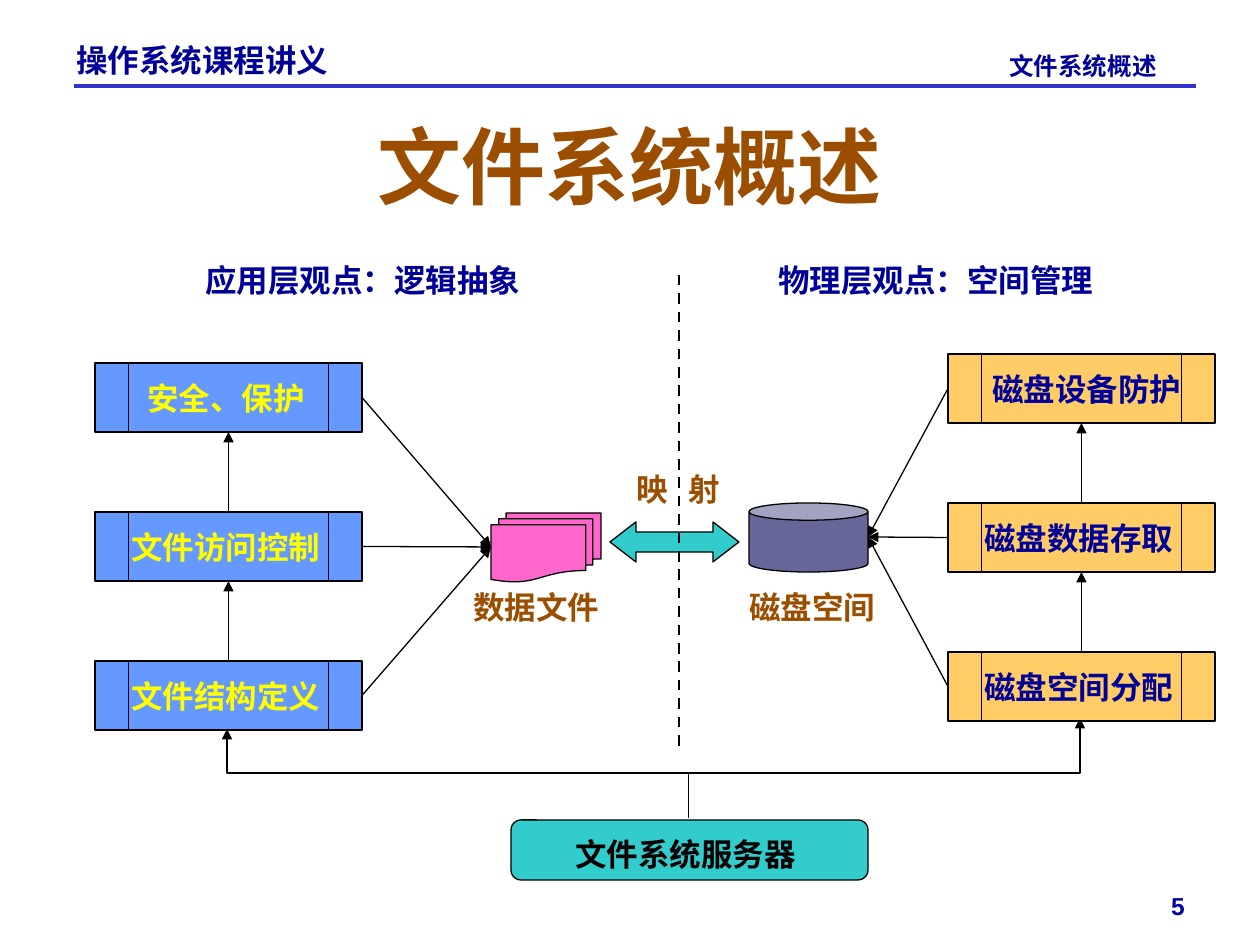
import lxml.etree
import pptx
import pptx.dml.color
import pptx.enum.dml
import pptx.enum.shapes
import pptx.enum.text
import pptx.oxml.ns
import pptx.util

RGBColor = pptx.dml.color.RGBColor
SHAPE = pptx.enum.shapes.MSO_SHAPE
CONNECTOR = pptx.enum.shapes.MSO_CONNECTOR
ALIGN = pptx.enum.text.PP_ALIGN
ANCHOR = pptx.enum.text.MSO_ANCHOR
qn = pptx.oxml.ns.qn

NAVY = RGBColor(0x00, 0x00, 0x99)
RULE_BLUE = RGBColor(0x33, 0x33, 0xCC)
BROWN = RGBColor(0x9C, 0x4E, 0x00)
BLACK = RGBColor(0x00, 0x00, 0x00)
YELLOW = RGBColor(0xFF, 0xFF, 0x00)
BLUE = RGBColor(0x66, 0x99, 0xFF)
ORANGE = RGBColor(0xFF, 0xCC, 0x66)
TEAL = RGBColor(0x33, 0xCC, 0xCC)
PINK = RGBColor(0xFF, 0x66, 0xCC)
SLATE = RGBColor(0x66, 0x66, 0x99)

PX_PER_INCH = 126
BLOCK_HEIGHT = 69


def px(length):
    """Turn px into EMU."""
    return pptx.util.Emu(round(length * 914400 / PX_PER_INCH))


def write(shape, text, color, size, font="Karla", align=ALIGN.LEFT):
    """Set one bold line of text in a shape."""
    paragraph = shape.text_frame.paragraphs[0]
    paragraph.text = text
    paragraph.alignment = align
    for run in paragraph.runs:
        run.font.name = font
        run.font.size = pptx.util.Pt(size)
        run.font.bold = True
        run.font.color.rgb = color


def add_text(slide, box, text, color, size=18, font="Karla", align=ALIGN.LEFT, wrap=False):
    """Add a text box and return it."""
    shape = slide.shapes.add_textbox(*map(px, box))
    shape.text_frame.word_wrap = wrap
    write(shape, text, color, size, font, align)
    return shape


def add_block(slide, kind, box, fill):
    """Add a filled, thinly outlined preset shape."""
    shape = slide.shapes.add_shape(kind, *map(px, box))
    shape.shadow.inherit = False
    shape.fill.solid()
    shape.fill.fore_color.rgb = fill
    shape.line.color.rgb = BLACK
    shape.line.width = pptx.util.Pt(0.75)
    return shape


def add_line(slide, start, end, color=BLACK, width=0.75, arrow=True, kind=CONNECTOR.STRAIGHT):
    """Add a connector, with an arrowhead at its end unless told otherwise."""
    line = slide.shapes.add_connector(kind, *map(px, (*start, *end)))
    line.line.color.rgb = color
    line.line.width = pptx.util.Pt(width)
    properties = line._element.spPr
    if arrow:
        lxml.etree.SubElement(properties.find(qn("a:ln")), qn("a:tailEnd"), type="triangle")
    lxml.etree.SubElement(properties, qn("a:effectLst"))
    return line


def add_riser(slide, start, end, bend):
    """Add an elbow arrow that leaves and arrives vertically, turning at height bend."""
    middle_x, middle_y = (start[0] + end[0]) / 2, (start[1] + end[1]) / 2
    half_x, half_y = (start[0] - end[0]) / 2, (start[1] - end[1]) / 2
    line = add_line(slide, (middle_x - half_y, middle_y + half_x),
                    (middle_x + half_y, middle_y - half_x), kind=CONNECTOR.ELBOW)
    properties = line._element.spPr
    properties.find(qn("a:xfrm")).set("rot", str(270 * 60000))
    geometry = properties.find(qn("a:prstGeom"))
    guides = geometry.find(qn("a:avLst"))
    if guides is None:
        guides = lxml.etree.SubElement(geometry, qn("a:avLst"))
    share = round(100000 * (start[1] - bend) / (start[1] - end[1]))
    lxml.etree.SubElement(guides, qn("a:gd"), name="adj1", fmla=f"val {share}")


def add_header(slide, box):
    """Place the course name, the chapter name and the rule below them."""
    left, top, width, height = box
    add_line(slide, (left, top + height), (left + width, top + height), RULE_BLUE, 2.25, False)
    add_text(slide, (left - 10, top, 307, 30), "操作系统课程讲义", NAVY, 18, "Arial", wrap=True)
    add_text(slide, (left + 923, top + 10, 179, 40), "文件系统概述", NAVY, 14, "Arial", wrap=True)


def add_title(slide, box):
    """Move and format the title placeholder."""
    title = slide.shapes.title
    title.left, title.top, title.width, title.height = map(px, box)
    title.text_frame.auto_size = pptx.enum.text.MSO_AUTO_SIZE.NONE
    title.text_frame.vertical_anchor = ANCHOR.MIDDLE
    write(title, "文件系统概述", BROWN, 48, align=ALIGN.CENTER)


def add_column(slide, box, labels, fill, color, target):
    """Stack labelled blocks joined upwards, each pointing at the target."""
    left, top, width, height = box
    pitch = (height - BLOCK_HEIGHT) / (len(labels) - 1)
    center = left + width / 2
    side = left + width if target[0] > left else left
    for index, (text, indent) in enumerate(labels):
        block_top = top + index * pitch
        add_block(slide, SHAPE.FLOWCHART_PREDEFINED_PROCESS,
                  (left, block_top, width, BLOCK_HEIGHT), fill)
        add_text(slide, (left + indent, block_top + 10, len(text) * 32 + 25, 50), text, color)
        add_line(slide, (side, block_top + BLOCK_HEIGHT / 2), target)
        if index:
            add_line(slide, (center, block_top), (center, block_top - pitch + BLOCK_HEIGHT))


def add_mapping(slide, box):
    """Place the data files, the disk, the mapping arrow and the dividing line."""
    left, top, width, height = box
    add_block(slide, SHAPE.FLOWCHART_MULTIDOCUMENT, (left + 30, top + 238, 110, 69), PINK)
    add_block(slide, SHAPE.CAN, (left + 288, top + 228, 119, 69), SLATE)
    arrow = add_block(slide, SHAPE.LEFT_RIGHT_ARROW, (left + 149, top + 247, 129, 40), TEAL)
    arrow.adjustments[1] = 0.65
    add_text(slide, (left, top + 307, 151, 50), "数据文件", BROWN)
    add_text(slide, (left + 276, top + 307, 151, 50), "磁盘空间", BROWN)
    mapping = add_text(slide, (left + 163, top + 189, 110, 50), "映\t射", BROWN)
    properties = mapping.text_frame.paragraphs[0]._p.get_or_add_pPr()
    tabs = lxml.etree.SubElement(properties, qn("a:tabLst"))
    lxml.etree.SubElement(tabs, qn("a:tab"), pos=str(int(px(52))), algn="l")
    divider = add_line(slide, (left + 218, top), (left + 218, top + height), BLACK, 1.5, False)
    divider.line.dash_style = pptx.enum.dml.MSO_LINE.DASH


def add_server(slide, box, targets):
    """Place the server block and its risers to the targets."""
    left, top, width, height = box
    add_block(slide, SHAPE.FLOWCHART_ALTERNATE_PROCESS, box, TEAL)
    add_text(slide, (left + 52, top + 9, 246, 50), "文件系统服务器", BLACK)
    for target in targets:
        add_riser(slide, (left + width / 2 - 1, top - 2), target, top - 47)


def add_page_number(slide, box):
    """Place the page number at the bottom right."""
    number = add_text(slide, box, "5", NAVY, 14, "Arial", ALIGN.RIGHT, True)
    number.text_frame.vertical_anchor = ANCHOR.BOTTOM


def main():
    """Build the slide and save it."""
    presentation = pptx.Presentation()
    presentation.slide_width = px(10 * PX_PER_INCH)
    presentation.slide_height = px(7.5 * PX_PER_INCH)
    slide = presentation.slides.add_slide(presentation.slide_layouts[5])

    add_header(slide, (74, 35, 1122, 51))
    add_title(slide, (44, 106, 1171, 118))
    add_text(slide, (193, 255, 340, 50), "应用层观点：逻辑抽象", NAVY)
    add_text(slide, (766, 255, 340, 50), "物理层观点：空间管理", NAVY)
    add_server(slide, (511, 820, 357, 60), [(227, 729), (1080, 718)])
    add_mapping(slide, (461, 275, 427, 475))
    add_column(slide, (95, 363, 267, 367),
               [("安全、保护", 40), ("文件访问控制", 24), ("文件结构定义", 24)],
               BLUE, YELLOW, (491, 547))
    add_column(slide, (948, 354, 267, 367),
               [("磁盘设备防护", 32), ("磁盘数据存取", 24), ("磁盘空间分配", 24)],
               ORANGE, NAVY, (868, 537))
    add_page_number(slide, (1126, 861, 71, 66))
    presentation.save("out.pptx")


if __name__ == "__main__":
    main()
